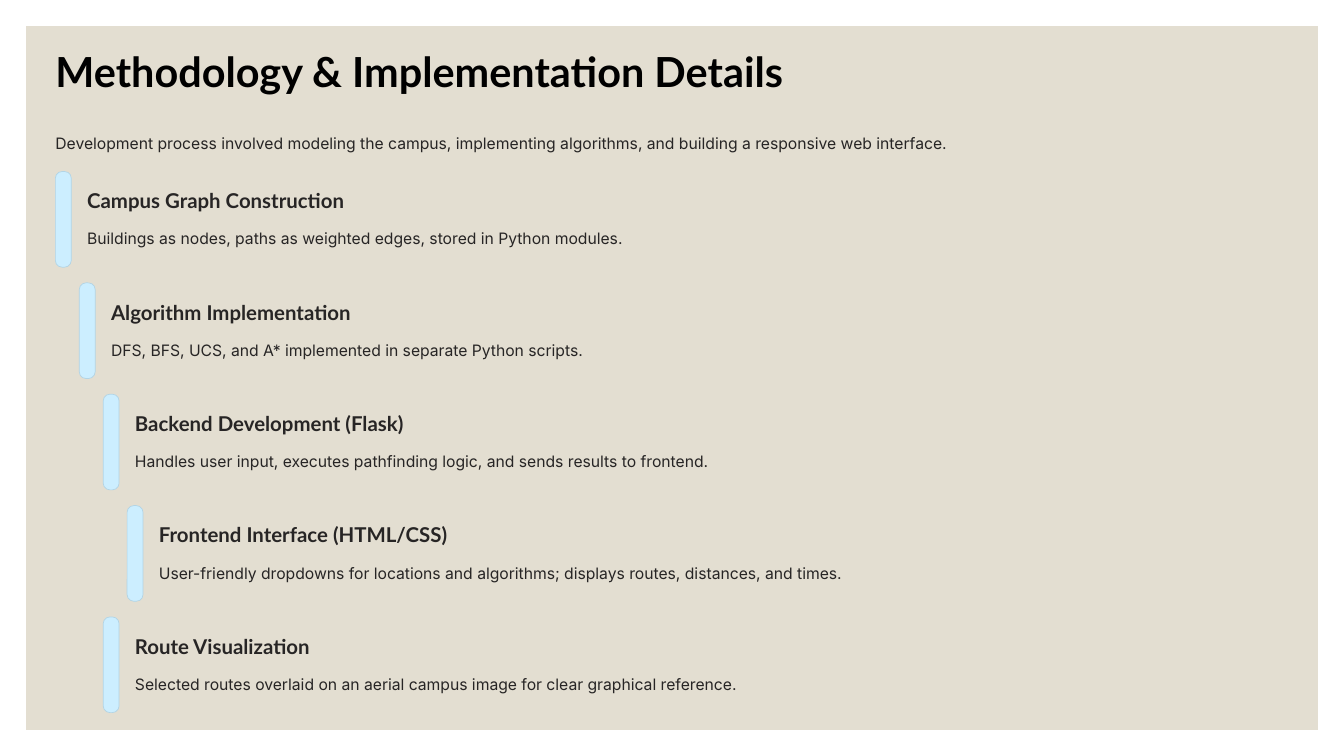
from dataclasses import dataclass

from pptx import Presentation
from pptx.dml.color import RGBColor
from pptx.enum import shapes, text
from pptx.util import Pt

LEFT = 47.5
RIGHT = 1104
TOP = 147
INDENT = 20.5
PITCH = 95.45
INK = "272525"


@dataclass
class Style:
    font: str
    size: float
    line: float
    color: str
    bold: bool


@dataclass
class Step:
    level: int
    width: float
    head: str
    body: str


TITLE = Style("Lato", 35.5, 44.5, "000000", True)
HEAD = Style("Lato", 17.5, 22, INK, True)
BODY = Style("Inter", 13.5, 21.5, INK, False)

STEPS = [
    Step(0, 235, "Campus Graph Construction",
         "Buildings as nodes, paths as weighted edges, stored in Python modules."),
    Step(1, 222.5, "Algorithm Implementation",
         "DFS, BFS, UCS, and A* implemented in separate Python scripts."),
    Step(2, 243.5, "Backend Development (Flask)",
         "Handles user input, executes pathfinding logic, and sends results to frontend."),
    Step(3, 262, "Frontend Interface (HTML/CSS)",
         "User-friendly dropdowns for locations and algorithms; displays routes, distances, and times."),
    Step(2, 179.5, "Route Visualization",
         "Selected routes overlaid on an aerial campus image for clear graphical reference."),
]


def color(code: str) -> RGBColor:
    return RGBColor.from_string(code)


def write(box, words: str, style: Style) -> None:
    frame = box.text_frame
    frame.margin_left = frame.margin_right = 0
    frame.margin_top = frame.margin_bottom = 0
    frame.auto_size = text.MSO_AUTO_SIZE.NONE
    frame.vertical_anchor = text.MSO_ANCHOR.TOP
    frame.word_wrap = False
    frame.text = words
    para = frame.paragraphs[0]
    para.alignment = text.PP_ALIGN.LEFT
    para.line_spacing = Pt(style.line)
    para.font.name = style.font
    para.font.size = Pt(style.size)
    para.font.bold = style.bold
    para.font.color.rgb = color(style.color)


def label(slide, x: float, y: float, w: float, h: float, words: str, style: Style) -> None:
    write(slide.shapes.add_textbox(Pt(x), Pt(y), Pt(w), Pt(h)), words, style)


def block(slide, kind, x: float, y: float, w: float, h: float, fill: str):
    shape = slide.shapes.add_shape(kind, Pt(x), Pt(y), Pt(w), Pt(h))
    shape.shadow.inherit = False
    shape.fill.solid()
    shape.fill.fore_color.rgb = color(fill)
    shape.line.fill.background()
    return shape


def draw(slide, step: Step, row: int) -> None:
    x = LEFT + step.level * INDENT
    y = TOP + row * PITCH
    bar = block(slide, shapes.MSO_SHAPE.ROUNDED_RECTANGLE, x, y, 13.6, 82, "CCEEFF")
    bar.adjustments[0] = 0.42
    bar.line.color.rgb = color("B2D4E5")
    bar.line.width = Pt(0.6)
    inset = x + 27.2
    label(slide, inset, y + 13.6, step.width, 22, step.head, HEAD)
    label(slide, inset, y + 44.2, RIGHT - inset, 21.5, step.body, BODY)


def main() -> None:
    deck = Presentation()
    deck.slide_width, deck.slide_height = Pt(1152), Pt(648)
    slide = deck.slides.add_slide(deck.slide_layouts[5])
    title = slide.shapes.title
    panel = block(slide, shapes.MSO_SHAPE.RECTANGLE, 22.3, 22.3, 1107.4, 603.4, "E3DED1")
    title.element.addprevious(panel.element)
    title.left, title.top = Pt(LEFT), Pt(37.5)
    title.width, title.height = Pt(649.5), Pt(44.5)
    write(title, "Methodology & Implementation Details", TITLE)
    label(slide, LEFT, 109.5, RIGHT - LEFT, 21.5,
          "Development process involved modeling the campus, implementing algorithms, "
          "and building a responsive web interface.", BODY)
    for row, step in enumerate(STEPS):
        draw(slide, step, row)
    deck.save("out.pptx")


if __name__ == "__main__":
    main()
